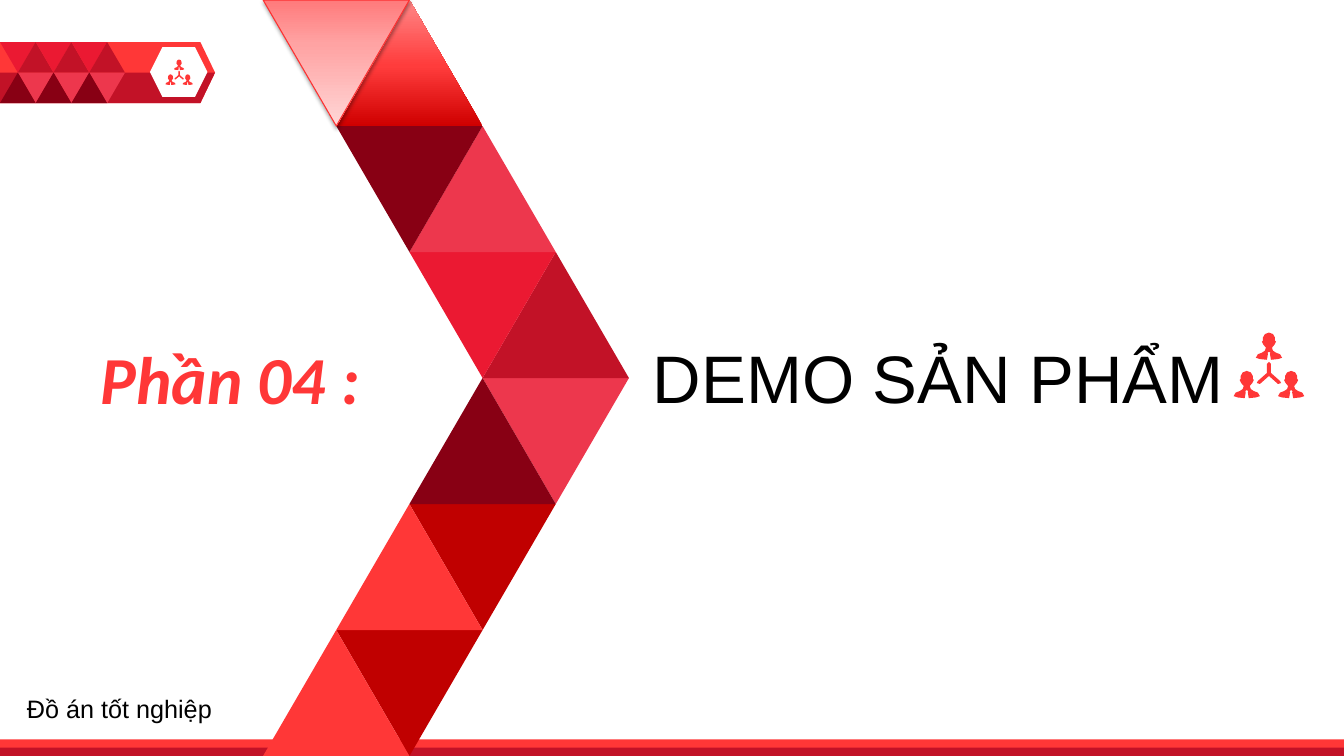
from copy import deepcopy
from dataclasses import dataclass

from lxml import etree
from pptx import Presentation
from pptx.dml.color import RGBColor
from pptx.enum.shapes import MSO_SHAPE
from pptx.enum.text import MSO_AUTO_SIZE, PP_ALIGN
from pptx.oxml.ns import qn
from pptx.util import Cm, Pt

TRIANGLE = MSO_SHAPE.ISOSCELES_TRIANGLE
PENTAGON = MSO_SHAPE.PENTAGON
HEXAGON = MSO_SHAPE.HEXAGON
RECTANGLE = MSO_SHAPE.RECTANGLE
LEFT = PP_ALIGN.LEFT
CENTER = PP_ALIGN.CENTER
GROW = MSO_AUTO_SIZE.SHAPE_TO_FIT_TEXT


@dataclass(frozen=True)
class Theme:
    red: str = "FF3737"
    crimson: str = "C21227"
    scarlet: str = "EB1932"
    rose: str = "ED374D"
    maroon: str = "880014"
    blood: str = "C00000"
    white: str = "FFFFFF"
    black: str = "000000"
    edge: str = "FD3030"
    deep_fade: tuple = ((0, "CF0000"), (0.48, "FF3C3C"), (1, "FF8787"))
    pale_fade: tuple = ((0, "FF7A7B"), (0.35, "FFA3A3"), (1, "FFD6D6"))
    heading_font: str = "Calibri"
    body_font: str = "Arial"
    title_size: int = 48
    note_size: int = 18


THEME = Theme()


@dataclass(frozen=True)
class Box:
    left: float
    top: float
    width: float
    height: float

    def inner(self, left, top, width, height):
        return Box(self.left + left, self.top + top, width, height)

    def lengths(self):
        return [Cm(n) for n in (self.left, self.top, self.width, self.height)]


HALF_PERSON = [
    (0, 0), (4, 1.5), (6, 5), (6, 8), (7, 9), (5.5, 12), (3, 15), (4, 18),
    (7, 20), (11, 21.5), (13, 25), (9, 26.3), (2, 27), (1, 21), (1.5, 20), (0, 19),
]
PERSON = HALF_PERSON + [(-x, y) for x, y in HALF_PERSON[-2:0:-1]]
PERSON_SPOTS = [(35, 0), (13, 38), (57, 38)]
HALF_LINK = [(35, 29), (37, 31), (37, 40), (46, 48), (47, 50), (44, 51), (35, 43)]
LINK = HALF_LINK + [(70 - x, y) for x, y in HALF_LINK[-2:0:-1]]
ICON_UNITS = 70


def paint(shape, color):
    shape.shadow.inherit = False
    shape.fill.solid()
    shape.fill.fore_color.rgb = RGBColor.from_string(color)
    shape.line.fill.background()


def fade(shape, stops):
    shape.fill.gradient()
    shape.fill.gradient_angle = 90
    stop_list = shape._element.spPr.find(qn("a:gradFill")).find(qn("a:gsLst"))
    stop_list.append(deepcopy(stop_list[-1]))
    for stop, (position, color) in zip(shape.fill.gradient_stops, stops):
        stop.position = position
        stop.color.rgb = RGBColor.from_string(color)


def drop_shadow(shape):
    effects = shape._element.spPr.find(qn("a:effectLst"))
    shadow = etree.SubElement(
        effects, qn("a:outerShdw"), blurRad=str(Pt(3.1)), dist=str(Pt(1.6)),
        dir="5400000", rotWithShape="0")
    color = etree.SubElement(shadow, qn("a:srgbClr"), val=THEME.black)
    etree.SubElement(color, qn("a:alpha"), val="37000")


def add_preset(page, preset, box, color):
    shape = page.shapes.add_shape(preset, *box.lengths())
    paint(shape, color)
    return shape


def add_triangle(page, box, color, upward):
    shape = add_preset(page, TRIANGLE, box, color)
    shape.rotation = 0 if upward else 180
    return shape


def add_outline(page, contours, color):
    contours = [[(Cm(x), Cm(y)) for x, y in contour] for contour in contours]
    builder = page.shapes.build_freeform(*contours[0][0])
    for index, contour in enumerate(contours):
        if index:
            builder.move_to(*contour[0])
        builder.add_line_segments(contour[1:], close=True)
    paint(builder.convert_to_shape(), color)


def add_people(page, box):
    scale = box.width / ICON_UNITS
    people = [[(x + left, y + top) for x, y in PERSON] for left, top in PERSON_SPOTS]
    add_outline(page, [
        [(box.left + x * scale, box.top + y * scale) for x, y in contour]
        for contour in people + [LINK]
    ], THEME.red)


def add_header(page, box):
    point = 0.37
    middle = box.top + box.height / 2
    right, bottom = box.left + box.width, box.top + box.height
    banner = add_preset(page, PENTAGON, box, THEME.red)
    banner.adjustments[0] = point / box.height
    add_outline(page, [[(box.left, middle), (right, middle),
                        (right - point, bottom), (box.left, bottom)]], THEME.crimson)
    badge = add_preset(page, HEXAGON, box.inner(3.78, 0.13, 1.45, 1.25), THEME.white)
    badge.adjustments[0] = 0.25
    add_people(page, box.inner(4.17, 0.44, 0.69, 0.64))
    side, height = 0.9, box.height / 2
    tiles = [(0, 0, THEME.scarlet, False), (1, 0, THEME.crimson, True),
             (1, 1, THEME.rose, False), (0, 1, THEME.maroon, True)]
    for repeat in range(3):
        for column, row, color, upward in tiles:
            left = repeat * side + column * side / 2
            add_triangle(page, box.inner(left, row * height, side, height), color, upward)


def add_footer(page, box):
    add_preset(page, RECTANGLE, box, THEME.red)
    half = box.height / 2
    add_preset(page, RECTANGLE, box.inner(0, half, box.width, half), THEME.crimson)


def add_chevron(page, box):
    rows = [
        (THEME.scarlet, THEME.red), (THEME.maroon, THEME.rose),
        (THEME.scarlet, THEME.crimson), (THEME.maroon, THEME.rose),
        (THEME.red, THEME.blood), (THEME.red, THEME.blood),
    ]
    height = box.height / len(rows)
    step = box.width / 5
    tiles = {}
    for row in reversed(range(len(rows))):
        first = min(row, len(rows) - 1 - row)
        for side in (1, 0):
            upward = (row < 3) == (side == 1)
            spot = box.inner((first + side) * step, row * height, 2 * step, height)
            tiles[row, side] = add_triangle(page, spot, rows[row][side], upward)
    fade(tiles[0, 1], THEME.deep_fade)
    highlight = tiles[0, 0]
    fade(highlight, THEME.pale_fade)
    highlight.line.color.rgb = RGBColor.from_string(THEME.edge)
    highlight.line.width = Pt(0.75)
    drop_shadow(highlight)


def add_text(page, box, text, size, color, font, align=LEFT, strong=False):
    frame = page.shapes.add_textbox(*box.lengths()).text_frame
    frame.word_wrap = True
    frame.auto_size = GROW
    frame.text = text
    para = frame.paragraphs[0]
    para.alignment = align
    span = para.runs[0]
    span.font.name = font
    span.font.size = Pt(size)
    span.font.bold = span.font.italic = strong
    span.font.color.rgb = RGBColor.from_string(color)


def add_section_page(deck, box):
    page = deck.slides.add_slide(deck.slide_layouts[6])
    add_header(page, box.inner(0, 1.06, 5.42, 1.54))
    add_footer(page, box.inner(0, box.height - 0.42, box.width, 0.42))
    add_chevron(page, box.inner(6.63, 0, 9.22, box.height))
    add_text(page, box.inner(2.29, 8.38, 10.46, 2.29), "Phần 04 :",
             THEME.title_size, THEME.red, THEME.heading_font, strong=True)
    add_text(page, box.inner(16.03, 8.36, 15.24, 2.31), "DEMO SẢN PHẨM",
             THEME.title_size, THEME.black, THEME.body_font, CENTER)
    add_people(page, box.inner(31.09, 8.38, 1.78, 1.65))
    add_text(page, box.inner(0.43, 17.35, 7.19, 1.02), "Đồ án tốt nghiệp",
             THEME.note_size, THEME.black, THEME.body_font)


def main():
    deck = Presentation()
    slide_box = Box(0, 0, 33.87, 19.05)
    deck.slide_width, deck.slide_height = slide_box.lengths()[2:]
    add_section_page(deck, slide_box)
    deck.save("out.pptx")


if __name__ == "__main__":
    main()
